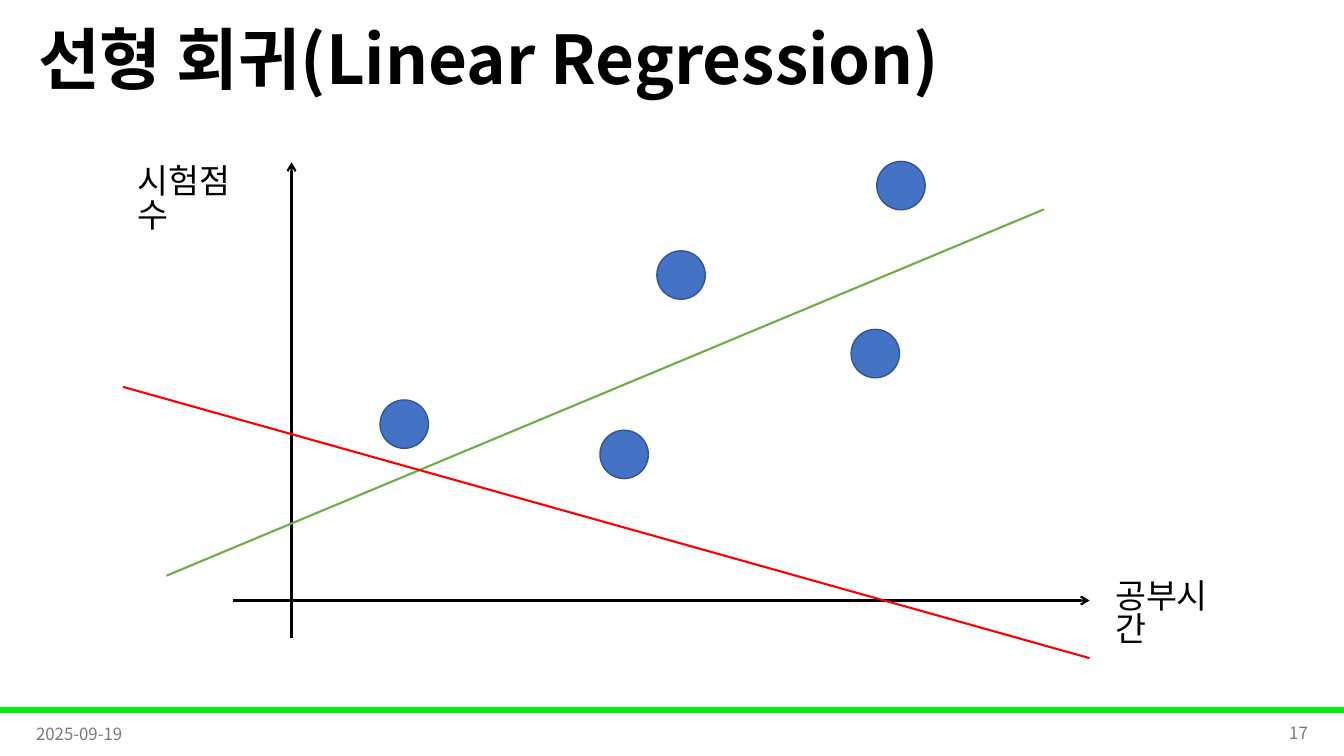
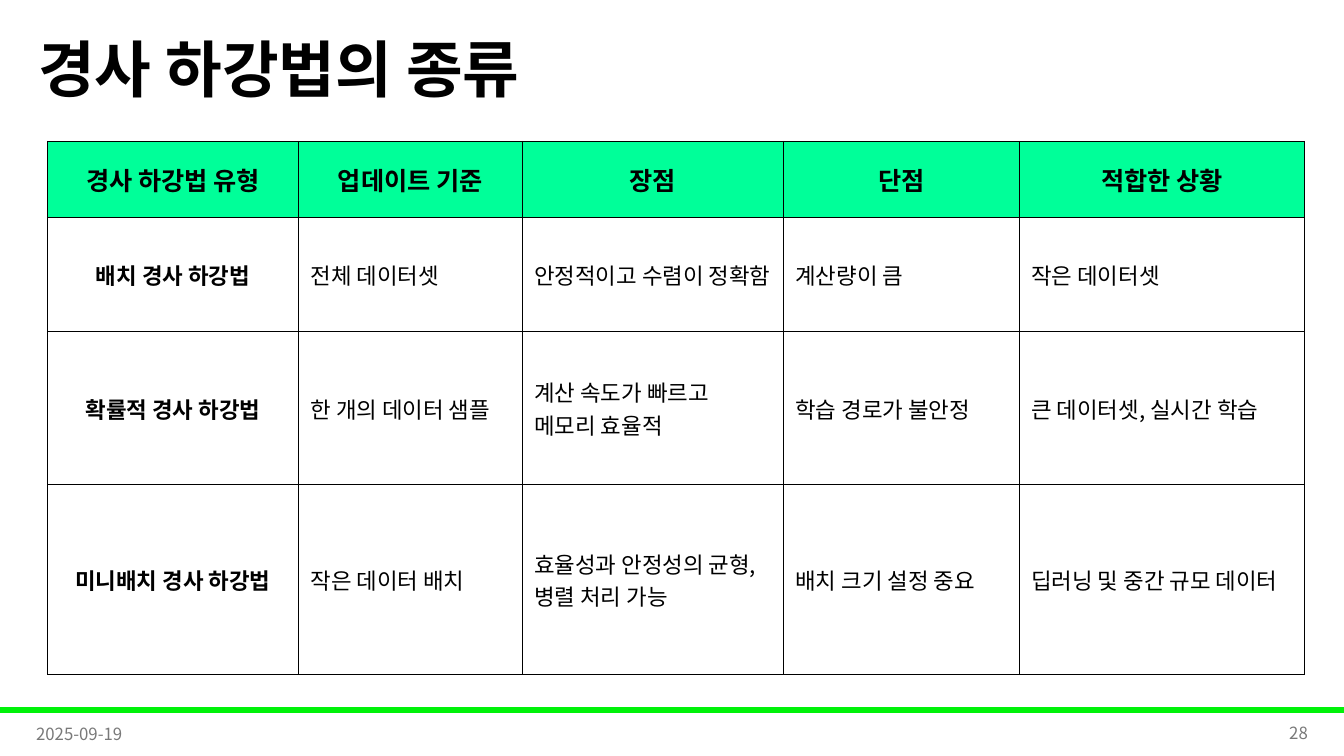
import dataclasses

import lxml.etree
import pptx
import pptx.dml.color
import pptx.enum.shapes
import pptx.enum.text
import pptx.oxml.ns
import pptx.util

FONT = "Noto Sans CJK KR"
BLACK, WHITE, GREY = "000000", "FFFFFF", "797979"
BAND, HEADER = "00F209", "00FF99"
DOT, DOT_EDGE = "4472C4", "325491"
GOOD_FIT, BAD_FIT = "70AD47", "FF0000"
ALIGN = pptx.enum.text.PP_ALIGN
MIDDLE = pptx.enum.text.MSO_ANCHOR.MIDDLE
TOP = pptx.enum.text.MSO_ANCHOR.TOP
SHAPE = pptx.enum.shapes.MSO_SHAPE
qn = pptx.oxml.ns.qn

DATE = "2025-09-19"
COLUMNS = [2.49, 2.22, 2.59, 2.34, 2.83]
ROWS = [0.76, 1.13, 1.51, 1.89]
METHODS = [
    ["경사 하강법 유형", "업데이트 기준", "장점", "단점", "적합한 상황"],
    ["배치 경사 하강법", "전체 데이터셋", "안정적이고 수렴이 정확함", "계산량이 큼", "작은 데이터셋"],
    ["확률적 경사 하강법", "한 개의 데이터 샘플", "계산 속도가 빠르고 메모리 효율적",
     "학습 경로가 불안정", "큰 데이터셋, 실시간 학습"],
    ["미니배치 경사 하강법", "작은 데이터 배치", "효율성과 안정성의 균형, 병렬 처리 가능",
     "배치 크기 설정 중요", "딥러닝 및 중간 규모 데이터"],
]
DOTS = [(25.2, 52.9), (44.9, 59), (50, 22.9), (67.4, 38.7), (69.7, 4.9)]
AXES = [((15.1, 95.9), (15.1, 0.2)), ((9.9, 88.4), (86.6, 88.4))]
FITS = [((3.9, 83.4), (82.5, 9.7), GOOD_FIT), ((0, 45.4), (86.6, 100), BAD_FIT)]
AXIS_LABELS = [("공부시간", 88, 83.6), ("시험점수", 0.4, 0.2)]


@dataclasses.dataclass
class Box:
    """A region in EMU whose areas are given in percent of its size."""
    x: int
    y: int
    w: int
    h: int

    def point(self, x, y):
        """Return the slide position of a point inside the region."""
        return round(self.x + self.w * x / 100), round(self.y + self.h * y / 100)

    def area(self, x, y, w, h):
        """Return a smaller region."""
        return Box(*self.point(x, y), round(self.w * w / 100), round(self.h * h / 100))

    def frame(self):
        """Return left, top, width and height."""
        return self.x, self.y, self.w, self.h


def rgb(color):
    """Turn a hex string into a colour."""
    return pptx.dml.color.RGBColor.from_string(color)


def set_text(tf, text, size, color=BLACK, bold=False, align=ALIGN.LEFT, spacing=1.0):
    """Write one formatted paragraph into a text frame."""
    p = tf.paragraphs[0]
    p.alignment, p.line_spacing = align, spacing
    r = p.add_run()
    r.text = text
    for name, value in {"size": pptx.util.Pt(size), "bold": bold, "name": FONT}.items():
        setattr(r.font, name, value)
    r.font.color.rgb = rgb(color)
    ea = lxml.etree.SubElement(r.font._element, qn("a:ea"))
    ea.set("typeface", FONT)


def add_text(s, box, text, size, anchor=MIDDLE, **style):
    """Add a wrapping text box."""
    tf = s.shapes.add_textbox(*box.frame()).text_frame
    tf.word_wrap, tf.vertical_anchor = True, anchor
    set_text(tf, text, size, **style)


def add_solid(s, kind, frame, fill, edge):
    """Add a filled preset shape with a thin outline."""
    sp = s.shapes.add_shape(kind, *frame)
    sp.shadow.inherit = False
    sp.fill.solid()
    sp.fill.fore_color.rgb = rgb(fill)
    sp.line.color.rgb = rgb(edge)
    sp.line.width = pptx.util.Pt(1)


def add_line(s, start, end, color, arrow=False):
    """Add a straight line, with an arrowhead at its end if wanted."""
    line = s.shapes.add_connector(pptx.enum.shapes.MSO_CONNECTOR.STRAIGHT, *start, *end)
    line.line.color.rgb = rgb(color)
    line.line.width = pptx.util.Pt(1.5)
    if arrow:
        lxml.etree.SubElement(line.line._get_or_add_ln(), qn("a:tailEnd"), type="arrow")
    lxml.etree.SubElement(line._element.spPr, qn("a:effectLst"))


def add_base(prs, title, size, title_height, number):
    """Add a slide with its title, band and footer, and return it with its box."""
    s = prs.slides.add_slide(prs.slide_layouts[6])
    page = Box(0, 0, prs.slide_width, prs.slide_height)
    add_solid(s, SHAPE.RECTANGLE, page.area(0, 93.6, 100, 0.67).frame(), BAND, BAND)
    add_text(s, page.area(2.1, 0, 86.3, title_height), title, size, bold=True, spacing=0.9)
    add_text(s, page.area(1.95, 94.4, 22.5, 5.3), DATE, 12, color=GREY)
    add_text(s, page.area(75.55, 94.27, 22.5, 5.3), number, 12, color=GREY, align=ALIGN.RIGHT)
    return s, page


def add_plot(s, box):
    """Draw the axes, sample dots, candidate fits and axis labels."""
    for start, end in AXES:
        add_line(s, box.point(*start), box.point(*end), BLACK, arrow=True)
    d = pptx.util.Inches(0.48)
    for dot in DOTS:
        x, y = box.point(*dot)
        add_solid(s, SHAPE.OVAL, (x - d // 2, y - d // 2, d, d), DOT, DOT_EDGE)
    for start, end, color in FITS:
        add_line(s, box.point(*start), box.point(*end), color)
    for text, x, y in AXIS_LABELS:
        add_text(s, box.area(x, y, 12.1, 10.1), text, 24, anchor=TOP, spacing=0.83)


def set_borders(cell):
    """Give a cell thin black borders on all sides."""
    props = cell._tc.get_or_add_tcPr()
    for i, side in enumerate(("lnL", "lnR", "lnT", "lnB")):
        ln = lxml.etree.Element(qn("a:" + side), w=str(pptx.util.Pt(0.5)))
        fill = lxml.etree.SubElement(ln, qn("a:solidFill"))
        lxml.etree.SubElement(fill, qn("a:srgbClr"), val=BLACK)
        props.insert(i, ln)


def add_methods(s, box):
    """Add the comparison table with a coloured header row."""
    table = s.shapes.add_table(len(ROWS), len(COLUMNS), *box.frame()).table
    for column, share in zip(table.columns, COLUMNS):
        column.width = round(box.w * share / sum(COLUMNS))
    for row, share in zip(table.rows, ROWS):
        row.height = round(box.h * share / sum(ROWS))
    margins = {"margin_left": 0.12, "margin_right": 0.12, "margin_top": 0.01, "margin_bottom": 0}
    for i, texts in enumerate(METHODS):
        for j, text in enumerate(texts):
            cell = table.cell(i, j)
            heading = i == 0 or j == 0
            cell.fill.solid()
            cell.fill.fore_color.rgb = rgb(HEADER if i == 0 else WHITE)
            cell.vertical_anchor = MIDDLE
            for name, value in margins.items():
                setattr(cell, name, pptx.util.Inches(value))
            set_text(cell.text_frame, text, 18 if i == 0 else 16, bold=heading,
                     align=ALIGN.CENTER if heading else ALIGN.LEFT)
            set_borders(cell)


def main():
    """Build and save both slides."""
    prs = pptx.Presentation()
    prs.slide_width, prs.slide_height = pptx.util.Inches(13.33), pptx.util.Inches(7.5)
    s, page = add_base(prs, "선형 회귀(Linear Regression)", 48, 16.7, "17")
    add_plot(s, page.area(9.15, 21.33, 83.05, 65.73))
    s, page = add_base(prs, "경사 하강법의 종류", 44, 19.3, "28")
    add_methods(s, page.area(3.53, 18.67, 93.55, 70.53))
    prs.save("out.pptx")


if __name__ == "__main__":
    main()
